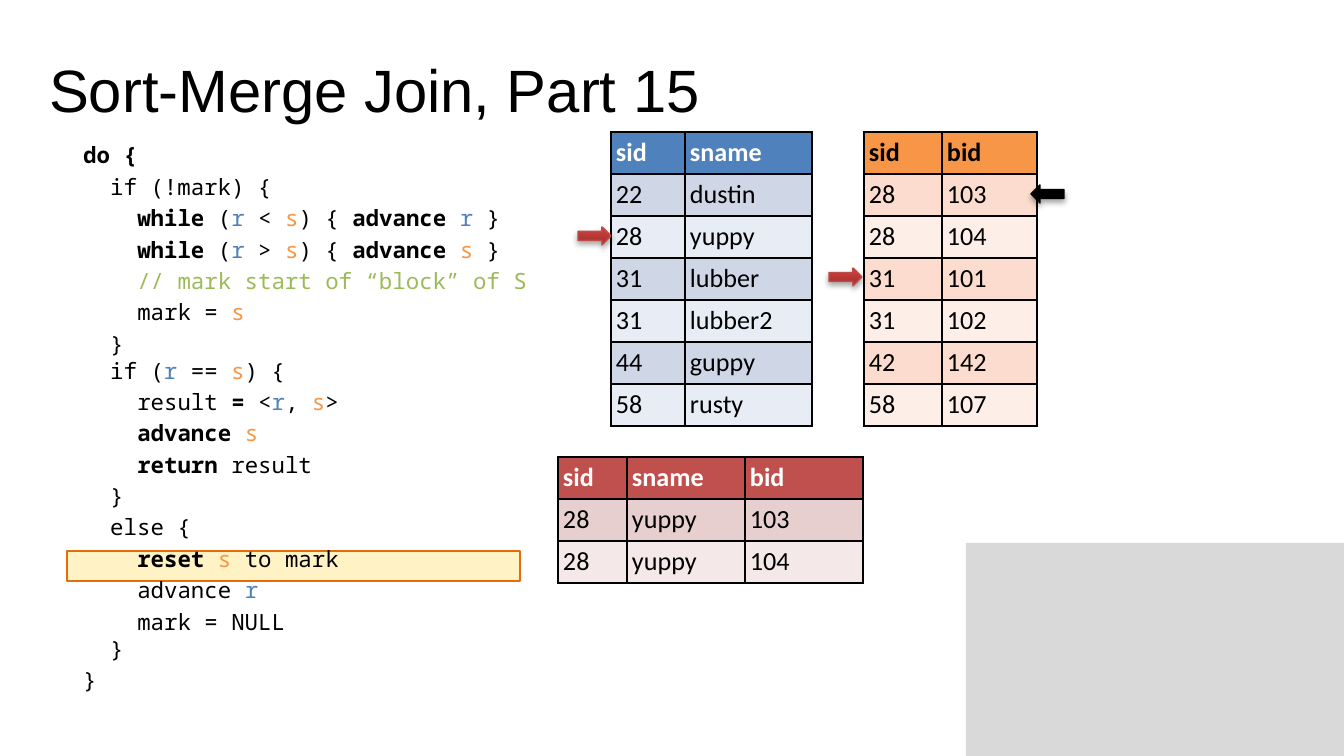
"""Build the slide on sort-merge join, part 15: algorithm, input tables and output."""
from lxml.etree import SubElement
from pptx import Presentation
from pptx.dml.color import RGBColor
from pptx.enum.shapes import MSO_SHAPE
from pptx.oxml import parse_xml
from pptx.oxml.ns import nsdecls, qn
from pptx.util import Pt

PX = 9144000 / 1344
BLACK, WHITE, BLUE, ORANGE, RED, GREEN = "000000", "FFFFFF", "4F81BD", "F79646", "C0504D", "9BBB59"


def color(value):
    """Turn a hex string into a colour."""
    return RGBColor.from_string(value)


def px(*lengths):
    """Turn pixel lengths into EMU."""
    return [round(length * PX) for length in lengths]


presentation = Presentation()
presentation.slide_width, presentation.slide_height = px(1344, 756)
slide = presentation.slides.add_slide(presentation.slide_layouts[6])

for box, fill, line in [
    ((966, 543, 378, 213), "D9D9D9", None),
    ((67, 551, 453, 30), "FFF2C5", "E46C0A"),
]:
    rectangle = slide.shapes.add_shape(MSO_SHAPE.RECTANGLE, *px(*box))
    rectangle.shadow.inherit = False
    rectangle.fill.solid()
    rectangle.fill.fore_color.rgb = color(fill)
    if line:
        rectangle.line.color.rgb = color(line)
        rectangle.line.width = Pt(1)
    else:
        rectangle.line.fill.background()

title = slide.shapes.add_textbox(*px(36, 46, 1106, 80)).text_frame
title.word_wrap = True
title_run = title.paragraphs[0].add_run()
title_run.text = "Sort-Merge Join, Part 15"
for name, value in {"name": "Arial", "size": Pt(32)}.items():
    setattr(title_run.font, name, value)
title_run.font.color.rgb = color(BLACK)

tables = [
    (611, 132, (74, 127), (BLUE, "CFD7E7", "E8ECF4"), WHITE,
     ["sid sname", "22 dustin", "28 yuppy", "31 lubber", "31 lubber2", "44 guppy", "58 rusty"]),
    (864, 132, (78, 95), (ORANGE, "FCDCCE", "FDEEE8"), BLACK,
     ["sid bid", "28 103", "28 104", "31 101", "31 102", "42 142", "58 107"]),
    (558, 457, (69, 118, 118), (RED, "E8CFCF", "F4E8E8"), WHITE,
     ["sid sname bid", "28 yuppy 103", "28 yuppy 104"]),
]
for left, top, widths, (head_fill, *bands), head_color, rows in tables:
    box = px(left, top, sum(widths), 42 * len(rows))
    table = slide.shapes.add_table(len(rows), len(widths), *box).table
    for column, width in zip(table.columns, px(*widths)):
        column.width = width
    for i, row in enumerate(rows):
        table.rows[i].height = px(42)[0]
        for j, text in enumerate(row.split()):
            cell = table.cell(i, j)
            for side in ("left", "right", "top", "bottom"):
                setattr(cell, f"margin_{side}", px(5)[0])
            properties = cell._tc.get_or_add_tcPr()
            for edge in "LRTB":
                border = SubElement(properties, qn(f"a:ln{edge}"), w=str(Pt(1)))
                SubElement(SubElement(border, qn("a:solidFill")), qn("a:srgbClr"), val=BLACK)
            cell.fill.solid()
            cell.fill.fore_color.rgb = color(bands[(i - 1) % 2] if i else head_fill)
            run = cell.text_frame.paragraphs[0].add_run()
            run.text = text
            for name, value in {"name": "Calibri", "size": Pt(14), "bold": i == 0}.items():
                setattr(run.font, name, value)
            run.font.color.rgb = color(BLACK if i else head_color)

code = [
    (0, 2.4, "do {"),
    (1, 2.4, "if (!mark) {"),
    (2, 2.4, "while| (|r| < |s|) { |advance |r| }"),
    (2, 2.4, "while| (|r| > |s|) { |advance |s| }"),
    (2, 2.4, "// mark start of “block” of S"),
    (2, 2.4, "mark = |s"),
    (1, 2.4, "}"),
    (1, 0, "if (|r| == |s|) {"),
    (2, 2.4, "result| =| <|r|, |s|>"),
    (2, 2.4, "advance |s"),
    (2, 2.4, "return |result"),
    (1, 2.4, "}"),
    (1, 2.4, "else {"),
    (2, 2.4, "reset |s| to mark"),
    (2, 2.4, "advance| |r"),
    (2, 2.4, "mark = NULL"),
    (1, 0, "}"),
    (0, 2.4, "}"),
]
bold_words = {"do {", "while", "advance ", " =", "return ", "reset "}
token_colors = {"r": BLUE, "s": ORANGE, "// mark start of “block” of S": GREEN}
code_frame = slide.shapes.add_textbox(*px(70, 135, 1274, 384)).text_frame
code_frame.word_wrap = True
for i, (depth, space, line) in enumerate(code):
    paragraph = code_frame.add_paragraph() if i else code_frame.paragraphs[0]
    paragraph.space_before = Pt(space)
    paragraph._p.get_or_add_pPr().set("marL", str(px(27 * depth)[0]))
    for token in line.split("|"):
        run = paragraph.add_run()
        run.text = token
        font_format = {"name": "Noto Sans Mono", "size": Pt(12), "bold": token in bold_words}
        for name, value in font_format.items():
            setattr(run.font, name, value)
        run.font.color.rgb = color(token_colors.get(token, BLACK))

for left, top, rotation, line in [
    (578, 227, 0, "BE4B48"), (829, 268, 0, "BE4B48"), (1031, 185, 180, BLACK),
]:
    arrow = slide.shapes.add_shape(MSO_SHAPE.RIGHT_ARROW, *px(left, top, 33, 18))
    arrow.rotation = rotation
    arrow.line.color.rgb = color(line)
    arrow.line.width = Pt(0.75)
    if line == BLACK:
        arrow.fill.solid()
        arrow.fill.fore_color.rgb = color(BLACK)
    else:
        arrow.fill.gradient()
        arrow.fill.gradient_angle = 90
        for stop, position, shade in zip(arrow.fill.gradient_stops, (0, 0.8), ("9A2F2C", "CA3E3A")):
            stop.position = position
            stop.color.rgb = color(shade)
    arrow._element.spPr.append(parse_xml(
        f'<a:effectLst {nsdecls("a")}><a:outerShdw blurRad="{Pt(3)}" dist="{Pt(1.8)}" '
        'dir="5400000" rotWithShape="0"><a:srgbClr val="000000"><a:alpha val="35000"/>'
        '</a:srgbClr></a:outerShdw></a:effectLst>'))

presentation.save("out.pptx")
